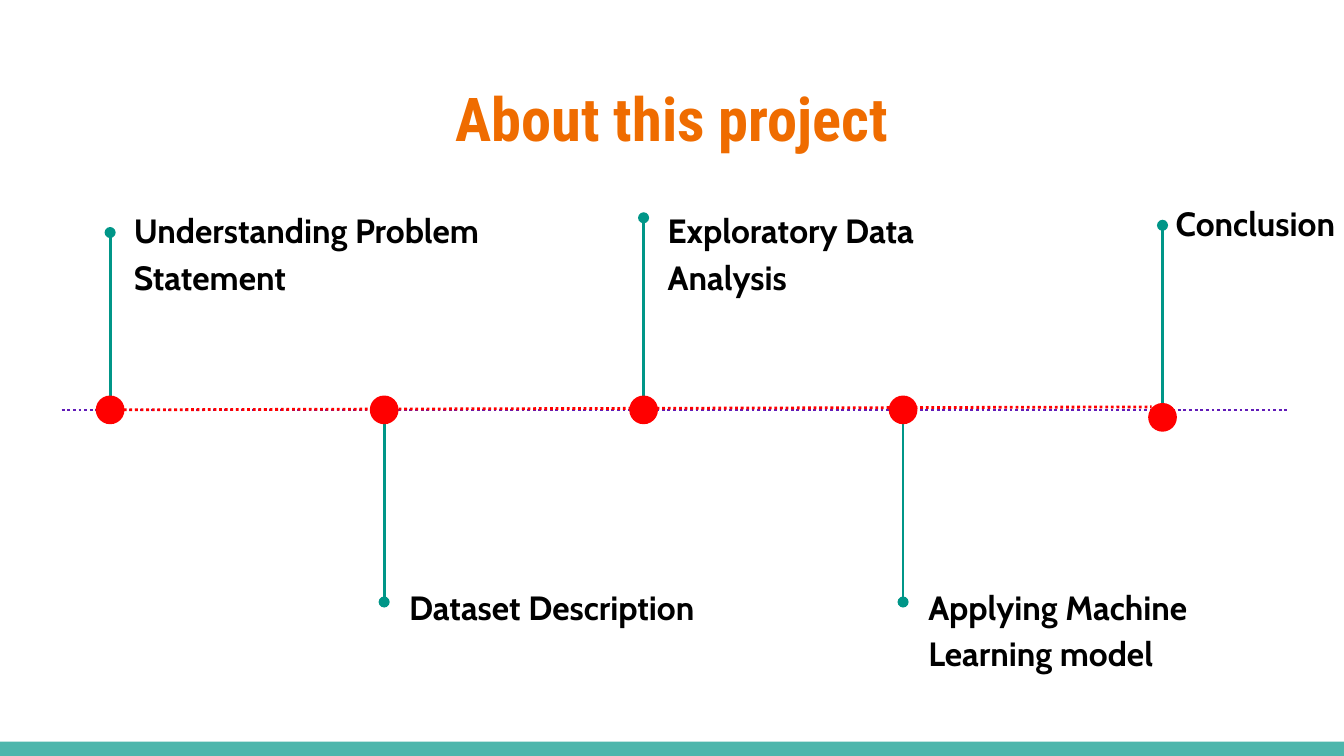
from lxml import etree
from pptx import Presentation
from pptx.dml.color import RGBColor
from pptx.enum.dml import MSO_LINE
from pptx.enum.shapes import MSO_CONNECTOR, MSO_SHAPE
from pptx.enum.text import MSO_ANCHOR, PP_ALIGN
from pptx.oxml.ns import qn
from pptx.util import Pt

ORANGE, TEAL, PALE_TEAL = "EF6C00", "009688", "4DB6AC"
RED, PURPLE, BLACK = "FF0000", "611BB8", "000000"
WIDTH, HEIGHT = 720, 405
AXIS_Y = 219.6
DOT = 15.4

# Milestones: dot centre x, dot centre y, stem length (negative is up), label box, lines
FIRST_X, SECOND_X, STEP = 59, 205.8, 139
LABEL_W, LABEL_H = 209.5, 76.3
TOP_Y, BOTTOM_Y = 102.2, 303.8
MILESTONES = [
    (FIRST_X, AXIS_Y, -87.3, (64.6, TOP_Y, LABEL_W, LABEL_H),
     ["Understanding Problem", "Statement"]),
    (SECOND_X, AXIS_Y, 95.2, (212.1, BOTTOM_Y, LABEL_W, LABEL_H),
     ["Dataset Description"]),
    (SECOND_X + STEP, AXIS_Y, -95.2, (350.6, TOP_Y, LABEL_W, LABEL_H),
     ["Exploratory Data Analysis"]),
    (SECOND_X + 2 * STEP, AXIS_Y, 95.2, (490.2, BOTTOM_Y, LABEL_W, LABEL_H),
     ["Applying Machine Learning model"]),
    (SECOND_X + 3 * STEP, 223.6, -95.2, (622.8, 98.4, 129.6, 43.9),
     ["Conclusion"]),
]


def color(value):
    return RGBColor.from_string(value)


def add_filled(shapes, kind, box, fill):
    sp = shapes.add_shape(kind, *map(Pt, box))
    sp.shadow.inherit = False
    sp.fill.solid()
    sp.fill.fore_color.rgb = color(fill)
    sp.line.fill.background()
    return sp


def add_line(shapes, start, end, stroke, dotted=False, oval_end=False):
    line = shapes.add_connector(MSO_CONNECTOR.STRAIGHT, *map(Pt, start + end))
    line.line.color.rgb = color(stroke)
    line.line.width = Pt(1.5)
    if dotted:
        line.line.dash_style = MSO_LINE.ROUND_DOT
    if oval_end:
        ln = line.line._get_or_add_ln()
        etree.SubElement(ln, qn("a:tailEnd"), type="oval", w="med", len="med")
    etree.SubElement(line._element.spPr, qn("a:effectLst"))
    return line


def add_text(shapes, box, lines, font, size, ink, align=PP_ALIGN.LEFT,
             anchor=MSO_ANCHOR.TOP, spacing=None):
    tf = shapes.add_textbox(*map(Pt, box)).text_frame
    tf.word_wrap = True
    tf.vertical_anchor = anchor
    tf.margin_left = tf.margin_right = tf.margin_top = tf.margin_bottom = Pt(7.2)
    tf.text = "\n".join(lines)
    for p in tf.paragraphs:
        p.alignment = align
        p.line_spacing = spacing
        p.font.name = font
        p.font.size = Pt(size)
        p.font.bold = True
        p.font.color.rgb = color(ink)


def add_title(shapes, box):
    add_text(shapes, box, ["About this project"], "Roboto Condensed", 32.4,
             ORANGE, PP_ALIGN.CENTER, MSO_ANCHOR.MIDDLE)


def add_milestone(shapes, x, y, stem, label_box, lines):
    # Dot and stem belong together
    group = shapes.add_group_shape().shapes
    radius = DOT / 2
    edge = y + (radius if stem > 0 else -radius)
    add_line(group, (x, edge), (x, edge + stem), TEAL, oval_end=True)
    add_filled(group, MSO_SHAPE.OVAL, (x - radius, y - radius, DOT, DOT), RED)
    # Label
    add_text(shapes, label_box, lines, "Cabin", 18, BLACK, spacing=1.15)


def add_timeline(shapes, left, right):
    # Axis behind the milestones
    add_line(shapes, (left, AXIS_Y), (right, AXIS_Y), PURPLE, dotted=True)
    for milestone in MILESTONES:
        add_milestone(shapes, *milestone)
    # Red dotted progress line on top
    add_line(shapes, (51.3, AXIS_Y), (617, 218), RED, dotted=True)


def main():
    prs = Presentation()
    prs.slide_width, prs.slide_height = Pt(WIDTH), Pt(HEIGHT)
    s = prs.slides.add_slide(prs.slide_layouts[6])
    # Bottom band
    add_filled(s.shapes, MSO_SHAPE.RECTANGLE, (0, HEIGHT - 7.7, WIDTH, 7.7), PALE_TEAL)
    add_title(s.shapes, (24.5, 35.3, 671, 55.4))
    add_timeline(s.shapes, 33.1, 689.8)
    prs.save("out.pptx")


if __name__ == "__main__":
    main()
